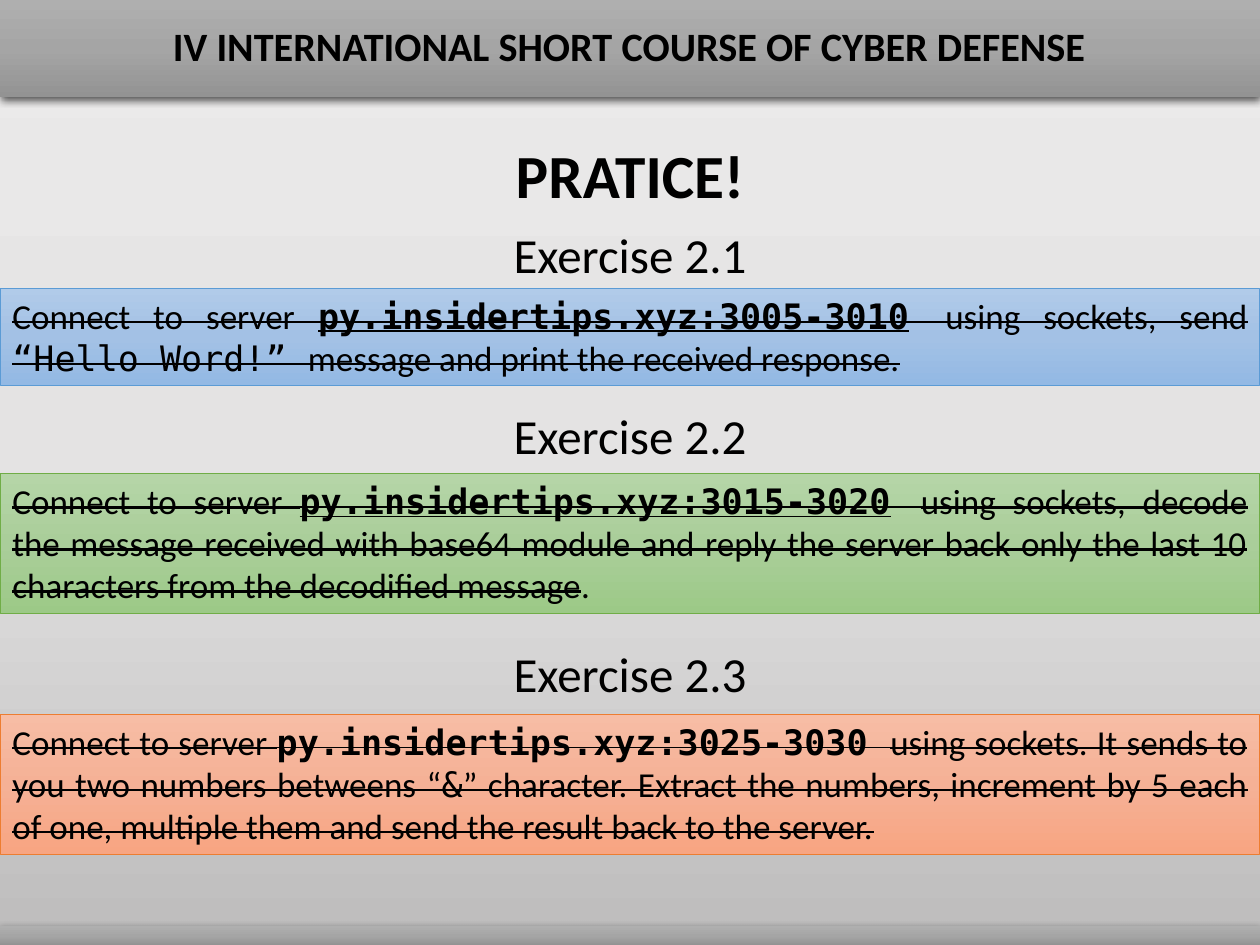
from copy import deepcopy
from dataclasses import dataclass

from lxml.etree import SubElement
from pptx import Presentation
from pptx.dml.color import RGBColor
from pptx.enum.shapes import MSO_SHAPE
from pptx.enum.text import MSO_ANCHOR, MSO_AUTO_SIZE, PP_ALIGN
from pptx.oxml.ns import qn
from pptx.util import Inches, Pt


@dataclass(frozen=True)
class Theme:
    sans: str = "Calibri"
    mono: str = "DejaVu Sans Mono"
    ink: str = "000000"
    backdrop: tuple = ("EBEAEA", "E4E3E3", "BDBCBC")
    bar: tuple = ("AFAFAF", "A5A5A5", "939393")
    blue: tuple = ("B1CBE9", "A3C1E5", "93B9E4")
    blue_line: str = "5B9BD5"
    green: tuple = ("B5D5A7", "AACE9A", "9CC987")
    green_line: str = "70AD47"
    orange: tuple = ("F7BDA5", "F5B196", "F8A582")
    orange_line: str = "ED7D31"
    header_size: int = 23
    title_size: int = 35
    heading_size: int = 28
    body_size: int = 20


class SlideBuilder:
    def __init__(self, page, theme, width):
        self.page = page
        self.theme = theme
        self.width = width

    def gradient(self, fill, colors):
        fill.gradient()
        fill.gradient_angle = 270
        first = fill.gradient_stops[0]._gs
        first.addnext(deepcopy(first))
        for stop, color, position in zip(fill.gradient_stops, colors, (0, 0.5, 1)):
            stop.color.rgb = RGBColor.from_string(color)
            stop.position = position

    def background(self):
        self.gradient(self.page.background.fill, self.theme.backdrop)

    def style(self, para, size, align, bold=False):
        para.alignment = align
        para.font.name = self.theme.sans
        para.font.size = Pt(size)
        para.font.bold = bold
        para.font.color.rgb = RGBColor.from_string(self.theme.ink)

    def place(self, shape, top, height):
        shape.left, shape.top = Inches(0), Inches(top)
        shape.width, shape.height = Inches(self.width), Inches(height)

    def rectangle(self, top, height, colors):
        box = self.page.shapes.add_shape(
            MSO_SHAPE.RECTANGLE, Inches(0), Inches(top), Inches(self.width), Inches(height)
        )
        box.shadow.inherit = False
        self.gradient(box.fill, colors)
        box.line.fill.background()
        return box

    def bar(self, top, height, text=""):
        box = self.rectangle(top, height, self.theme.bar)
        effects = box._element.spPr.find(qn("a:effectLst"))
        shadow = SubElement(
            effects, qn("a:outerShdw"), blurRad=str(Pt(4.5)), dist=str(Pt(1.5)),
            dir="5400000", algn="ctr", rotWithShape="0",
        )
        color = SubElement(shadow, qn("a:srgbClr"), val="000000")
        SubElement(color, qn("a:alpha"), val="63000")
        if text:
            box.text_frame.vertical_anchor = MSO_ANCHOR.MIDDLE
            para = box.text_frame.paragraphs[0]
            para.text = text
            para.line_spacing = 0.9
            self.style(para, self.theme.header_size, PP_ALIGN.CENTER, bold=True)

    def title(self, text, top, height):
        title = self.page.shapes.title
        self.place(title, top, height)
        title.text_frame.auto_size = MSO_AUTO_SIZE.NONE
        title.text_frame.vertical_anchor = MSO_ANCHOR.TOP
        para = title.text_frame.paragraphs[0]
        para.text = text
        self.style(para, self.theme.title_size, PP_ALIGN.CENTER, bold=True)

    def heading(self, text, top):
        box = self.page.shapes.add_textbox(
            Inches(0), Inches(top), Inches(self.width), Inches(0.57)
        )
        box.text_frame.word_wrap = True
        para = box.text_frame.paragraphs[0]
        para.text = text
        self.style(para, self.theme.heading_size, PP_ALIGN.CENTER)

    def span(self, para, text, mono=False, bold=False, underline=False, strike=True):
        span = para.add_run()
        span.text = text
        if mono:
            span.font.name = self.theme.mono
        if bold:
            span.font.bold = True
        if underline:
            span.font.underline = True
        if strike:
            span.font._element.set("strike", "sngStrike")

    def exercise(self, top, height, colors, line, address, underline, spans):
        box = self.rectangle(top, height, colors)
        box.line.color.rgb = RGBColor.from_string(line)
        box.line.width = Pt(0.5)
        box.text_frame.word_wrap = True
        box.text_frame.vertical_anchor = MSO_ANCHOR.TOP
        para = box.text_frame.paragraphs[0]
        self.style(para, self.theme.body_size, PP_ALIGN.JUSTIFY)
        self.span(para, "Connect to server ")
        self.span(para, address, mono=True, bold=True, underline=underline)
        self.span(para, " ", mono=True)
        for text, options in spans:
            self.span(para, text, **options)


def main():
    deck = Presentation()
    deck.slide_width, deck.slide_height = Inches(10), Inches(7.5)
    theme = Theme()
    slide = SlideBuilder(deck.slides.add_slide(deck.slide_layouts[5]), theme, 10)

    slide.background()
    slide.bar(0, 0.77, "IV INTERNATIONAL SHORT COURSE OF CYBER DEFENSE")
    slide.bar(7.35, 0.15)
    slide.title("PRATICE!", 1.04, 0.69)

    for number, top in enumerate((1.73, 3.17, 5.06), start=1):
        slide.heading(f"Exercise 2.{number}", top)

    mono = {"mono": True}
    slide.exercise(
        2.29, 0.77, theme.blue, theme.blue_line, "py.insidertips.xyz:3005-3010", True,
        [
            ("using sockets, send ", {}),
            ("“Hello Word!” ", mono),
            ("message and print the received response.", {}),
        ],
    )
    slide.exercise(
        3.76, 1.11, theme.green, theme.green_line, "py.insidertips.xyz:3015-3020", True,
        [
            ("using sockets, decode the message received with base64 module and reply "
             "the server back only the last 10 characters from the decodified message", {}),
            (".", {"strike": False}),
        ],
    )
    slide.exercise(
        5.67, 1.11, theme.orange, theme.orange_line, "py.insidertips.xyz:3025-3030", False,
        [
            ("using sockets. It sends to you two numbers betweens “", {}),
            ("&", mono),
            ("” character. Extract the numbers, increment by 5 each of one, "
             "multiple them and send the result back to the server.", {}),
        ],
    )
    deck.save("out.pptx")


if __name__ == "__main__":
    main()
